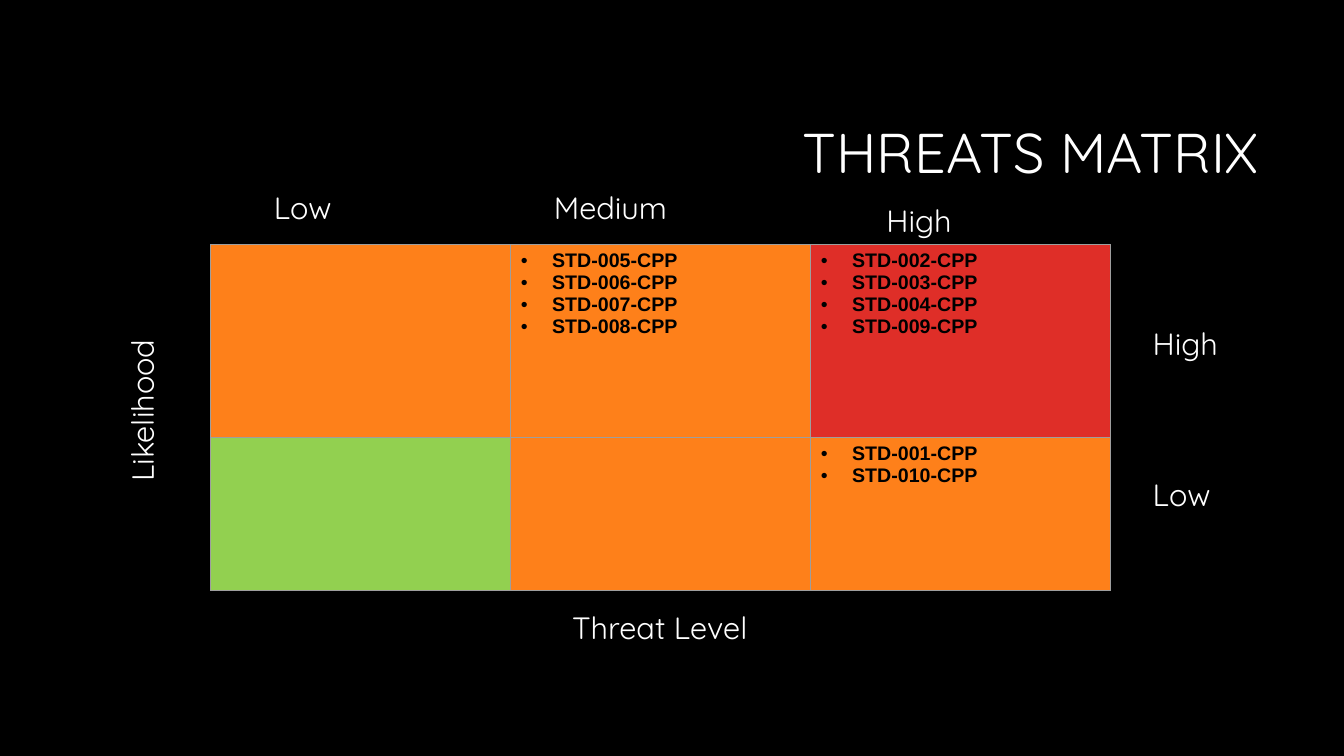
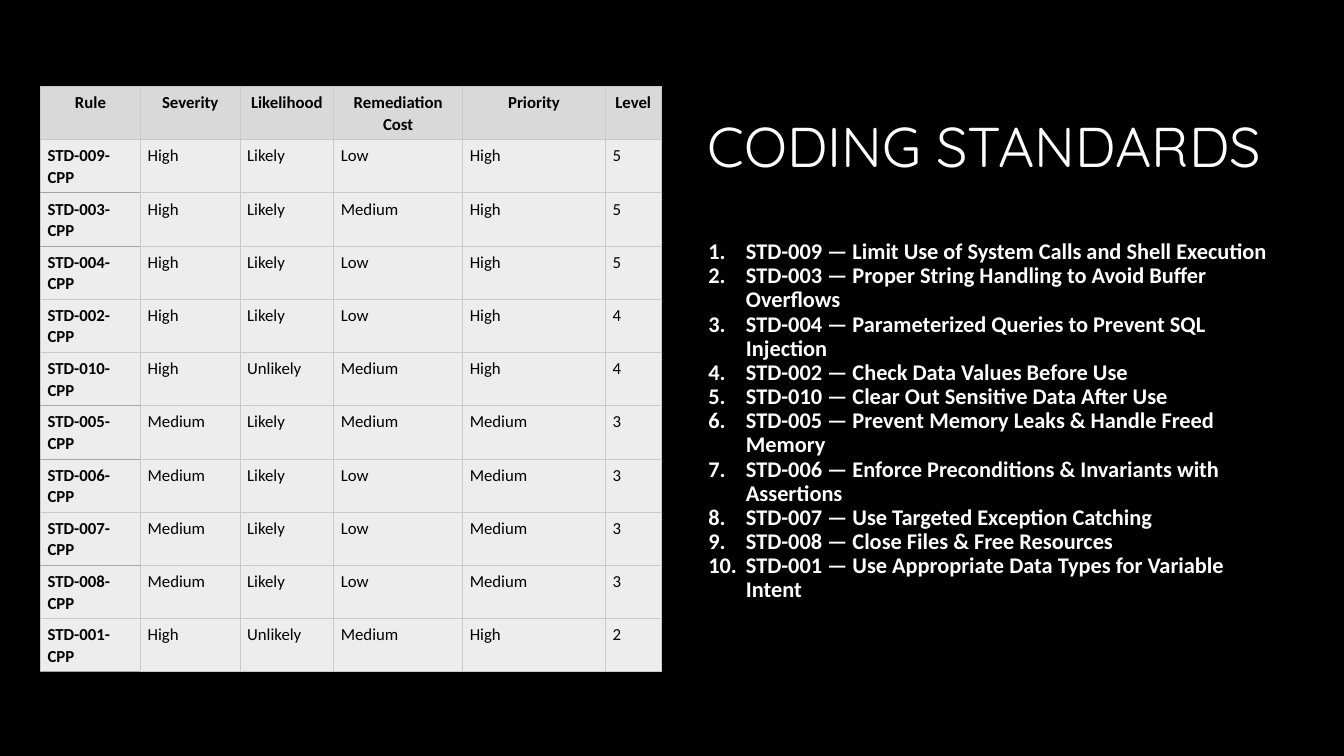
from lxml.etree import SubElement
from pptx import Presentation
from pptx.dml.color import RGBColor
from pptx.enum.text import MSO_ANCHOR, MSO_AUTO_SIZE, PP_ALIGN
from pptx.oxml.ns import qn
from pptx.util import Cm, Pt

HUES = {
    "black": "000000", "white": "FFFFFF",
    "orange": "FE801A", "red": "DF2E28", "green": "92D050", "edge": "9E9E9E",
    "head": "D9D9D9", "body": "EDEDED", "line": "C9C9C9", "dark": "A5A5A5",
}
HEAD, BODY, CODE = "Quicksand", "Calibri", "Arial"

THREATS = [
    [("orange", []),
     ("orange", ["STD-005-CPP", "STD-006-CPP", "STD-007-CPP", "STD-008-CPP"]),
     ("red", ["STD-002-CPP", "STD-003-CPP", "STD-004-CPP", "STD-009-CPP"])],
    [("green", []),
     ("orange", []),
     ("orange", ["STD-001-CPP", "STD-010-CPP"])],
]
# Text, then offset from the top left corner of the matrix, then turn
LABELS = [
    ("Threat Level", 8.56, 9.22, 0),
    ("Likelihood", -4.55, 2.75, 270),
    ("Low", 1.04, -1.37, 0),
    ("Medium", 8.1, -1.37, 0),
    ("High", 16.48, -1.04, 0),
    ("High", 23.19, 2.06, 0),
    ("Low", 23.19, 5.87, 0),
]
RULES = [
    ("Rule", "Severity", "Likelihood", "Remediation Cost", "Priority", "Level"),
    ("STD-009-CPP", "High", "Likely", "Low", "High", "5"),
    ("STD-003-CPP", "High", "Likely", "Medium", "High", "5"),
    ("STD-004-CPP", "High", "Likely", "Low", "High", "5"),
    ("STD-002-CPP", "High", "Likely", "Low", "High", "4"),
    ("STD-010-CPP", "High", "Unlikely", "Medium", "High", "4"),
    ("STD-005-CPP", "Medium", "Likely", "Medium", "Medium", "3"),
    ("STD-006-CPP", "Medium", "Likely", "Low", "Medium", "3"),
    ("STD-007-CPP", "Medium", "Likely", "Low", "Medium", "3"),
    ("STD-008-CPP", "Medium", "Likely", "Low", "Medium", "3"),
    ("STD-001-CPP", "High", "Unlikely", "Medium", "High", "2"),
]
DARK_ROWS = {1, 2, 5, 6, 8, 10}  # rows whose rule cell has a dark bottom edge
GOALS = [
    "STD-009 — Limit Use of System Calls and Shell Execution",
    "STD-003 — Proper String Handling to Avoid Buffer Overflows",
    "STD-004 — Parameterized Queries to Prevent SQL Injection",
    "STD-002 — Check Data Values Before Use",
    "STD-010 — Clear Out Sensitive Data After Use",
    "STD-005 — Prevent Memory Leaks & Handle Freed Memory",
    "STD-006 — Enforce Preconditions & Invariants with Assertions",
    "STD-007 — Use Targeted Exception Catching",
    "STD-008 — Close Files & Free Resources",
    "STD-001 — Use Appropriate Data Types for Variable Intent",
]


def color(name):
    return RGBColor.from_string(HUES[name])


def write(para, text, font, size, hue, bold=False):
    run = para.add_run()
    run.text = text
    run.font.name = font
    run.font.size = Pt(size)
    run.font.bold = bold
    run.font.color.rgb = color(hue)


def mark(para, hue, indent, char=None):
    """Hang the paragraph on a bullet, or on a number if no char is given."""
    props = para._p.get_or_add_pPr()
    props.set("marL", str(Cm(indent)))
    props.set("indent", str(-Cm(indent)))
    tint = SubElement(props, qn("a:buClr"))
    SubElement(tint, qn("a:srgbClr"), val=HUES[hue])
    if char:
        SubElement(props, qn("a:buFont"), typeface=CODE)
        SubElement(props, qn("a:buChar"), char=char)
    else:
        SubElement(props, qn("a:buFont"), typeface="+mj-lt")
        SubElement(props, qn("a:buAutoNum"), type="arabicPeriod")


def write_list(frame, items, font, size, hue, indent, char=None, space=None):
    for num, item in enumerate(items):
        para = frame.add_paragraph() if num else frame.paragraphs[0]
        mark(para, hue, indent, char)
        para.line_spacing = space
        write(para, item, font, size, hue, True)


def paint(cell, fill, edge, top=None, foot=None):
    """Fill a cell and draw its four edges."""
    props = cell._tc.get_or_add_tcPr()
    sides = {"lnL": edge, "lnR": edge, "lnT": top or edge, "lnB": foot or edge}
    for tag, hue in sides.items():
        line = SubElement(props, qn(f"a:{tag}"), w=str(Pt(0.75)))
        solid = SubElement(line, qn("a:solidFill"))
        SubElement(solid, qn("a:srgbClr"), val=HUES[hue])
    cell.fill.solid()
    cell.fill.fore_color.rgb = color(fill)


def add_grid(slide, left, top, widths, heights):
    frame = slide.shapes.add_table(
        len(heights), len(widths), Cm(left), Cm(top),
        Cm(sum(widths)), Cm(sum(heights)))
    grid = frame.table
    grid.first_row = grid.horz_banding = False
    for col, width in zip(grid.columns, widths):
        col.width = Cm(width)
    for row, height in zip(grid.rows, heights):
        row.height = Cm(height)
    return grid


def add_box(slide, left, top, width, height):
    box = slide.shapes.add_textbox(Cm(left), Cm(top), Cm(width), Cm(height))
    box.text_frame.word_wrap = True
    return box


def add_slide(deck, text, left, top, width, height):
    slide = deck.slides.add_slide(deck.slide_layouts[5])
    title = slide.shapes.title
    title.left, title.top = Cm(left), Cm(top)
    title.width, title.height = Cm(width), Cm(height)
    frame = title.text_frame
    frame.auto_size = MSO_AUTO_SIZE.NONE
    frame.vertical_anchor = MSO_ANCHOR.MIDDLE
    para = frame.paragraphs[0]
    para.alignment = PP_ALIGN.RIGHT
    para.line_spacing = 0.9
    write(para, text, HEAD, 40, "white")
    return slide


def add_matrix(slide, left, top):
    grid = add_grid(slide, left, top, [7.56] * 3, [4.86, 3.86])
    for row, line in enumerate(THREATS):
        for col, (fill, items) in enumerate(line):
            cell = grid.cell(row, col)
            paint(cell, fill, "edge")
            write_list(cell.text_frame, items, CODE, 14, "black", 0.79, "•")


def add_labels(slide, left, top):
    """Place the axis names around a matrix at the given corner."""
    for text, right, down, turn in LABELS:
        width = min(6.17, 33.87 - left - right)
        box = add_box(slide, left + right, top + down, width, 1.37)
        box.rotation = turn
        box.text_frame.margin_left = Cm(0.55)
        para = box.text_frame.paragraphs[0]
        para.line_spacing = 0.8
        write(para, text, HEAD, 22, "white")


def add_rules(slide, left, top):
    widths = [2.52, 2.51, 2.36, 3.25, 3.6, 1.4]
    grid = add_grid(slide, left, top, widths, [1.34] * len(RULES))
    for row, line in enumerate(RULES):
        for col, text in enumerate(line):
            cell = grid.cell(row, col)
            cell.margin_left = cell.margin_right = Cm(0.18)
            above = "dark" if col == 0 and row - 1 in DARK_ROWS else "line"
            below = "dark" if col == 0 and row in DARK_ROWS else "line"
            paint(cell, "body" if row else "head", "line", above, below)
            para = cell.text_frame.paragraphs[0]
            para.alignment = PP_ALIGN.LEFT if row else PP_ALIGN.CENTER
            para.line_spacing = Pt(15.4)
            write(para, text, BODY, 12, "black", row == 0 or col == 0)


def add_goals(slide, left, top, width, height):
    frame = add_box(slide, left, top, width, height).text_frame
    frame.vertical_anchor = MSO_ANCHOR.MIDDLE
    write_list(frame, GOALS, BODY, 16, "white", 0.95, space=0.9)


def main():
    deck = Presentation()
    deck.slide_width, deck.slide_height = Cm(33.87), Cm(19.05)
    back = deck.slide_master.background.fill
    back.solid()
    back.fore_color.rgb = color("black")

    slide = add_slide(deck, "THREATS MATRIX", 8.05, 2.13, 23.93, 3.58)
    add_matrix(slide, 5.31, 6.17)
    add_labels(slide, 5.31, 6.17)

    slide = add_slide(deck, "CODING STANDARDS", 8.05, 2.18, 23.98, 3.18)
    add_rules(slide, 1.02, 2.18)
    add_goals(slide, 17.6, 4.78, 14.83, 11.68)

    deck.save("out.pptx")


if __name__ == "__main__":
    main()
